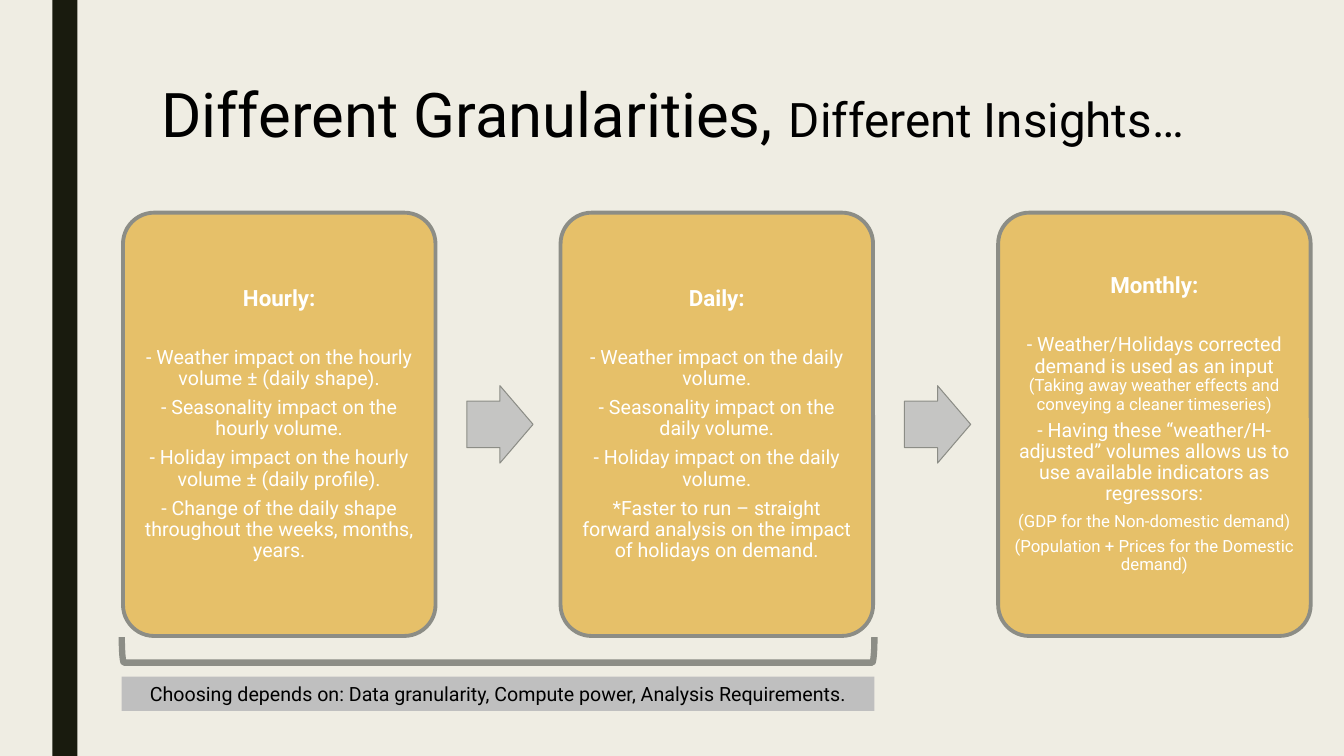
from pptx import Presentation
from pptx.dml.color import RGBColor
from pptx.enum.shapes import MSO_SHAPE
from pptx.enum.text import MSO_ANCHOR, PP_ALIGN
from pptx.util import Inches, Pt

RECT = MSO_SHAPE.RECTANGLE
CARD = MSO_SHAPE.ROUNDED_RECTANGLE
ARROW = MSO_SHAPE.RIGHT_ARROW
BRACKET = MSO_SHAPE.RIGHT_BRACKET
MIDDLE = MSO_ANCHOR.MIDDLE
CENTER = PP_ALIGN.CENTER
START = PP_ALIGN.LEFT

COLORS = {
    "paper": "EFEDE3", "bar": "191B0E", "gold": "E6C069", "edge": "8C8D86",
    "arrow": "C5C5C3", "note": "BFBFBF", "black": "000000", "white": "FFFFFF",
}
FONT = "Roboto"
LEFT, TOP = 1.22, 2.11      # corner of the first card
COL, ROW = 0.62, 0.6        # grid cell
WIDE, TALL, STEP = 5, 7, 7  # card size and pitch in cells

# Each card: heading, then paragraphs of (text, size) runs
CARDS = [
    ("Hourly:", [
        [("- Weather impact on the hourly volume ± (daily shape).", 14)],
        [("- Seasonality impact on the hourly volume.", 14)],
        [("- Holiday impact on the hourly volume ± (daily profile).", 14)],
        [("- Change of the daily shape throughout the weeks, months, years.", 14)],
    ]),
    ("Daily:", [
        [("- Weather impact on the daily volume.", 14)],
        [("- Seasonality impact on the daily volume.", 14)],
        [("- Holiday impact on the daily volume.", 14)],
        [("*Faster to run – straight forward analysis on the impact of "
          "holidays on demand.", 14)],
    ]),
    ("Monthly:", [
        [("- Weather/Holidays corrected demand is used as an input ", 14),
         ("(Taking away weather effects and conveying a cleaner timeseries)", 12)],
        [("- Having these “weather/H-adjusted” volumes allows us to use "
          "available indicators as regressors:", 14)],
        [("(GDP for the Non-domestic demand)", 12)],
        [("(Population + Prices for the Domestic demand)", 12)],
    ]),
]


def tint(name):
    return RGBColor.from_string(COLORS[name])


class Board:
    def __init__(self, deck):
        self.slide = deck.slides.add_slide(deck.slide_layouts[5])
        fill = self.slide.background.fill
        fill.solid()
        fill.fore_color.rgb = tint("paper")

    def place(self, col, row, wide, tall):
        """Turn grid cells into left, top, width and height."""
        return (Inches(LEFT + col * COL), Inches(TOP + row * ROW),
                Inches(wide * COL), Inches(tall * ROW))

    def shape(self, kind, cells, fill=None, line=None, adjust=()):
        item = self.slide.shapes.add_shape(kind, *self.place(*cells))
        item.shadow.inherit = False
        if fill:
            item.fill.solid()
            item.fill.fore_color.rgb = tint(fill)
        else:
            item.fill.background()
        if line:
            item.line.color.rgb = tint("edge")
            item.line.width = Pt(line)
        else:
            item.line.fill.background()
        for i, value in enumerate(adjust):
            item.adjustments[i] = value
        return item

    def label(self, para, runs, color, align=CENTER, bold=False):
        para.alignment = align
        for text, size in runs:
            run = para.add_run()
            run.text = text
            if len(runs) > 1:
                run.font.size = Pt(size)
        font = para.font
        font.name, font.bold, font.size = FONT, bold, Pt(runs[0][1])
        font.color.rgb = tint(color)

    def title(self, cells, runs):
        item = self.slide.shapes.title
        item.left, item.top, item.width, item.height = self.place(*cells)
        item.text_frame.vertical_anchor = MIDDLE
        item.text_frame.word_wrap = True
        para = item.text_frame.paragraphs[0]
        para.line_spacing = 0.89
        self.label(para, runs, "black", START)

    def card(self, col, head, body):
        item = self.shape(CARD, (col, 0, WIDE, TALL), "gold", 2.75, [0.1])
        frame = item.text_frame
        frame.word_wrap = True
        frame.vertical_anchor = MIDDLE
        frame.margin_left = frame.margin_right = Inches(0.07)
        frame.margin_top = frame.margin_bottom = Inches(0.07)
        for i, runs in enumerate([[(head, 16)], *body]):
            para = frame.add_paragraph() if i else frame.paragraphs[0]
            para.line_spacing = 0.9
            para.space_after = Pt(0.4 * runs[-1][1] if i else 26)
            self.label(para, runs, "white", bold=i == 0)

    def arrow(self, col):
        wide, tall = 1.06, 1.28
        self.shape(ARROW, (col, (TALL - tall) / 2, wide, tall),
                   "arrow", 0.75, [0.6, 0.5])

    def bracket(self, cells):
        """Draw a bracket that opens upwards and fills the given cells."""
        item = self.shape(BRACKET, cells, line=4.5)
        wide, tall = item.width, item.height
        item.left += (wide - tall) // 2
        item.top += (tall - wide) // 2
        item.width, item.height = tall, wide
        item.rotation = 90

    def note(self, cells, text):
        frame = self.shape(RECT, cells, "note").text_frame
        frame.word_wrap = True
        frame.vertical_anchor = MIDDLE
        self.label(frame.paragraphs[0], [(text, 14)], "black")


def main():
    deck = Presentation()
    deck.slide_width, deck.slide_height = Inches(13.33), Inches(7.5)
    board = Board(deck)
    board.shape(RECT, (-0.7 / COL, -TOP / ROW, 0.4, 7.5 / ROW), "bar")
    board.title((0.45, -2.27, 16.94, 1.4),
                [("Different Granularities, ", 44), ("Different Insights…", 34)])
    for i, (head, body) in enumerate(CARDS):
        if i:
            board.arrow(i * STEP - 1.5)
        board.card(i * STEP, head, body)
    span = STEP + WIDE + 0.04
    board.bracket((-0.02, 7.02, span, 0.42))
    board.note((-0.02, 7.67, span, 0.57),
               "Choosing depends on: Data granularity, Compute power, "
               "Analysis Requirements.")
    deck.save("out.pptx")


if __name__ == "__main__":
    main()
